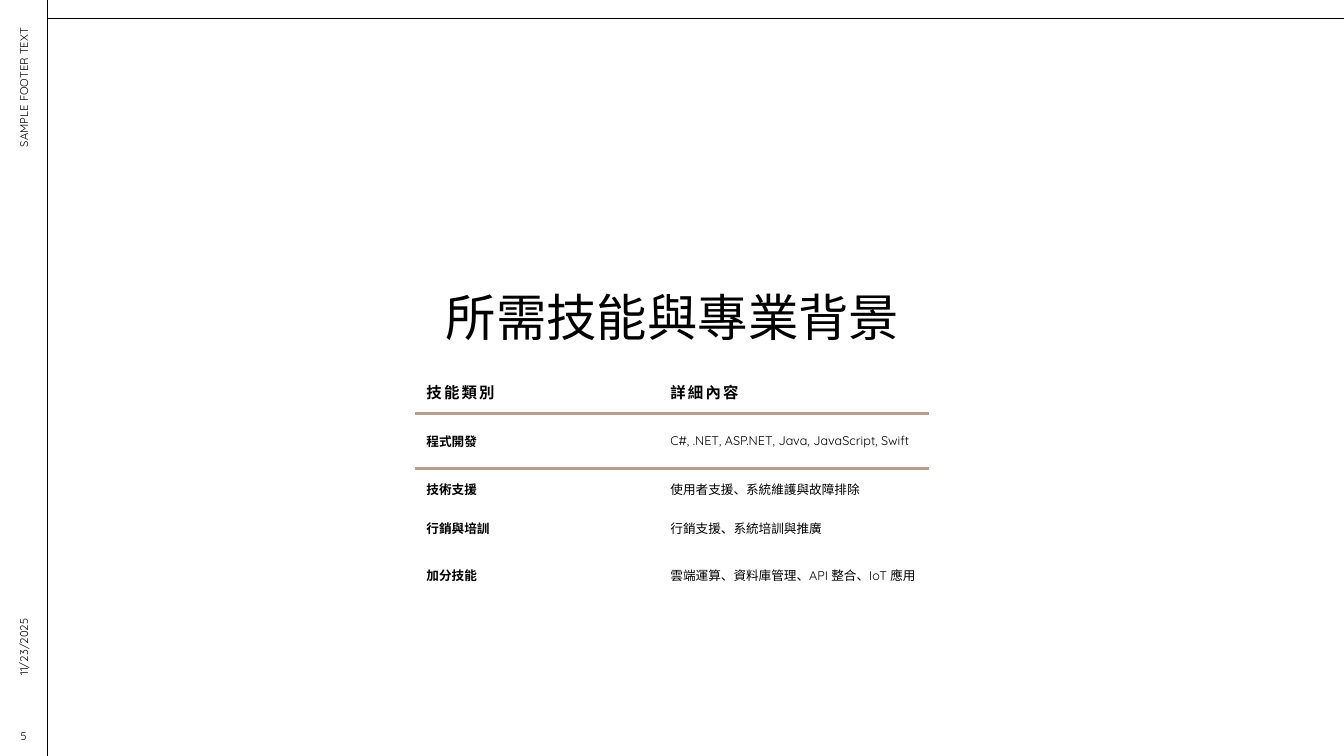
from dataclasses import dataclass

from lxml.etree import SubElement
from pptx import Presentation
from pptx.dml.color import RGBColor
from pptx.enum.shapes import MSO_CONNECTOR
from pptx.enum.text import MSO_ANCHOR as Anchor, PP_ALIGN as Align
from pptx.oxml import parse_xml
from pptx.oxml.ns import nsdecls, qn
from pptx.util import Inches, Pt


@dataclass(frozen=True)
class Theme:
    font: str = "Quicksand"
    ink: str = "000000"
    accent: str = "B79C8F"
    title: float = 36
    header: float = 11
    body: float = 9
    footer: float = 8
    frame_line: float = 0.5
    header_line: float = 2.25
    header_spacing: int = 150


THEME = Theme()
SLIDE_W, SLIDE_H = 13.33, 7.5
RAIL_W, TOP_RULE = 0.47, 0.18
SKILLS = [
    ("技能類別", "詳細內容"),
    ("程式開發", "C#, .NET, ASP.NET, Java, JavaScript, Swift"),
    ("技術支援", "使用者支援、系統維護與故障排除"),
    ("行銷與培訓", "行銷支援、系統培訓與推廣"),
    ("加分技能", "雲端運算、資料庫管理、API 整合、IoT 應用"),
]
COLUMN_WIDTHS = (2.42, 2.67)
ROW_HEIGHTS = (0.43, 0.55, 0.39, 0.39, 0.55)
CELL_INSET = 0.11


def style_paragraph(paragraph, size, bold=False):
    font = paragraph.font
    font.name = THEME.font
    font.size = Pt(size)
    font.bold = bold
    font.color.rgb = RGBColor.from_string(THEME.ink)


def add_label(slide, box, text, size, align, anchor=Anchor.MIDDLE, rotation=0):
    label = slide.shapes.add_textbox(*map(Inches, box))
    label.rotation = rotation
    frame = label.text_frame
    frame.word_wrap = True
    frame.vertical_anchor = anchor
    paragraph = frame.paragraphs[0]
    paragraph.text = text
    paragraph.alignment = align
    style_paragraph(paragraph, size)
    return paragraph


def add_rule(slide, *ends):
    rule = slide.shapes.add_connector(MSO_CONNECTOR.STRAIGHT, *map(Inches, ends))
    rule.line.color.rgb = RGBColor.from_string(THEME.ink)
    rule.line.width = Pt(THEME.frame_line)
    SubElement(rule._element.spPr, qn("a:effectLst"))


def add_frame(slide, left, top, right, bottom):
    add_rule(slide, left, top, right, top)
    add_rule(slide, left, 0, left, bottom)


def add_rail(slide, left, top, width, height):
    number_h, date_h = 0.4, 1.63
    number_top = top + height - number_h
    date_top = number_top - 0.3 - date_h
    parts = [
        ("SAMPLE FOOTER TEXT", top, date_top - top, Align.RIGHT),
        ("11/23/2025", date_top, date_h, Align.LEFT),
    ]
    for text, part_top, length, align in parts:
        box = (left + (width - length) / 2, part_top + (length - width) / 2, length, width)
        add_label(slide, box, text, THEME.footer, align, rotation=270)
    add_label(slide, (left, number_top, width, number_h), "5", THEME.footer, Align.CENTER)


def add_title(slide, left, top, width, height):
    title = add_label(slide, (left, top, width, height), "所需技能與專業背景",
                      THEME.title, Align.CENTER, Anchor.BOTTOM)
    title.line_spacing = 0.9


def add_border(cell, side):
    cell._tc.get_or_add_tcPr().insert(0, parse_xml(
        f'<a:{side} {nsdecls("a")} w="{Pt(THEME.header_line)}"><a:solidFill>'
        f'<a:srgbClr val="{THEME.accent}"/></a:solidFill></a:{side}>'))


def fill_cell(cell, text, row, column):
    cell.fill.background()
    cell.vertical_anchor = Anchor.MIDDLE
    cell.margin_left = cell.margin_right = Inches(CELL_INSET)
    cell.margin_top = cell.margin_bottom = Inches(CELL_INSET)
    paragraph = cell.text_frame.paragraphs[0]
    paragraph.text = text
    is_header = row == 0
    style_paragraph(paragraph, THEME.header if is_header else THEME.body,
                    is_header or column == 0)
    if is_header:
        paragraph.runs[0]._r.get_or_add_rPr().set("spc", str(THEME.header_spacing))
        add_border(cell, "lnB")
    elif row == 1:
        add_border(cell, "lnT")


def add_skills_table(slide, left, top):
    size = sum(COLUMN_WIDTHS), sum(ROW_HEIGHTS)
    table = slide.shapes.add_table(len(SKILLS), len(COLUMN_WIDTHS),
                                   *map(Inches, (left, top, *size))).table
    table.first_row = False
    table.horz_banding = False
    for column, width in zip(table.columns, COLUMN_WIDTHS):
        column.width = Inches(width)
    for row, height in zip(table.rows, ROW_HEIGHTS):
        row.height = Inches(height)
    for row, skill in enumerate(SKILLS):
        for column, text in enumerate(skill):
            fill_cell(table.cell(row, column), text, row, column)


def main():
    deck = Presentation()
    deck.slide_width, deck.slide_height = Inches(SLIDE_W), Inches(SLIDE_H)
    slide = deck.slides.add_slide(deck.slide_layouts[6])
    add_frame(slide, RAIL_W, TOP_RULE, SLIDE_W, SLIDE_H)
    add_title(slide, 3.05, 2.33, 7.24, 1.17)
    add_rail(slide, 0, TOP_RULE, RAIL_W, SLIDE_H - TOP_RULE)
    add_skills_table(slide, 4.12, 3.67)
    deck.save("out.pptx")


if __name__ == "__main__":
    main()
